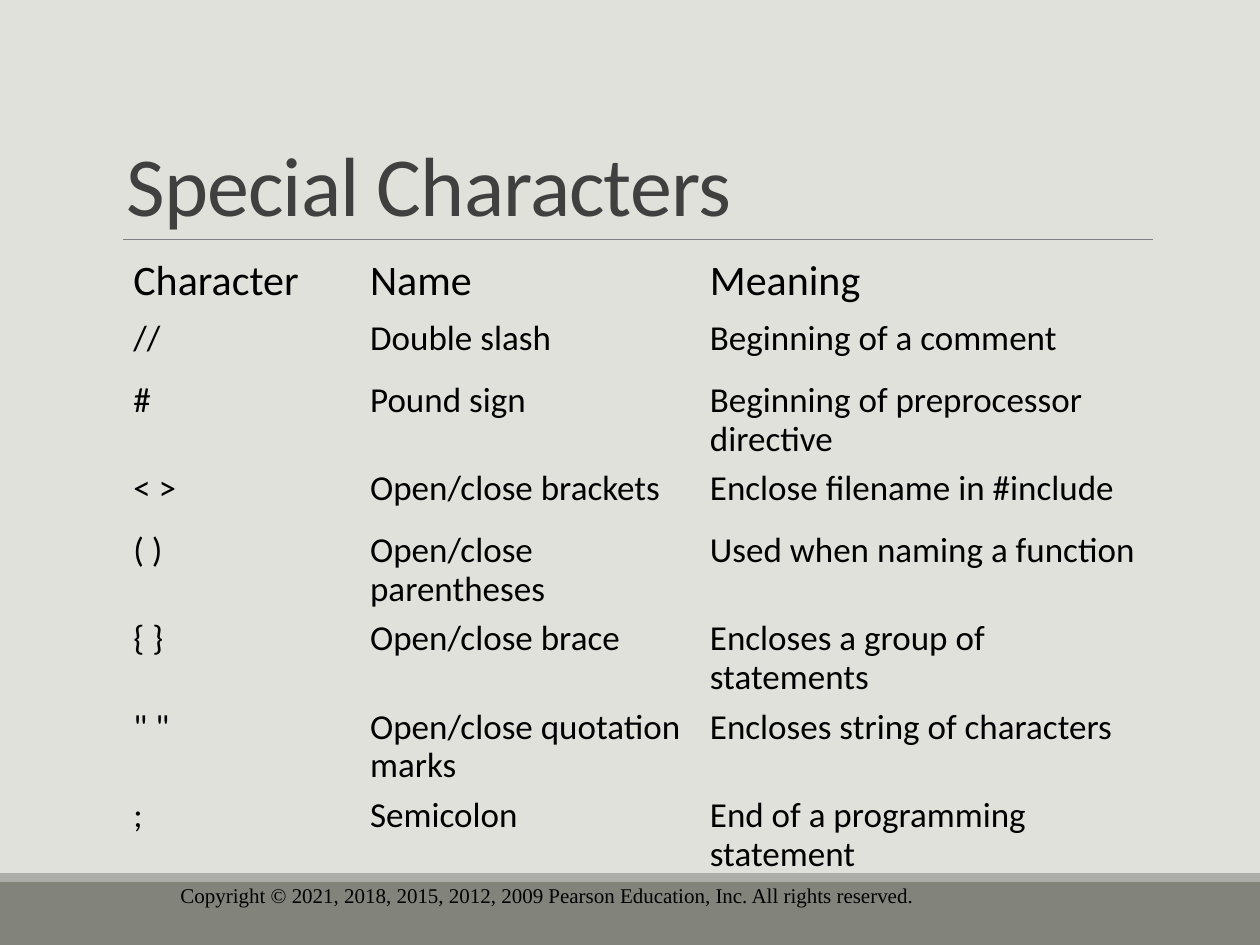
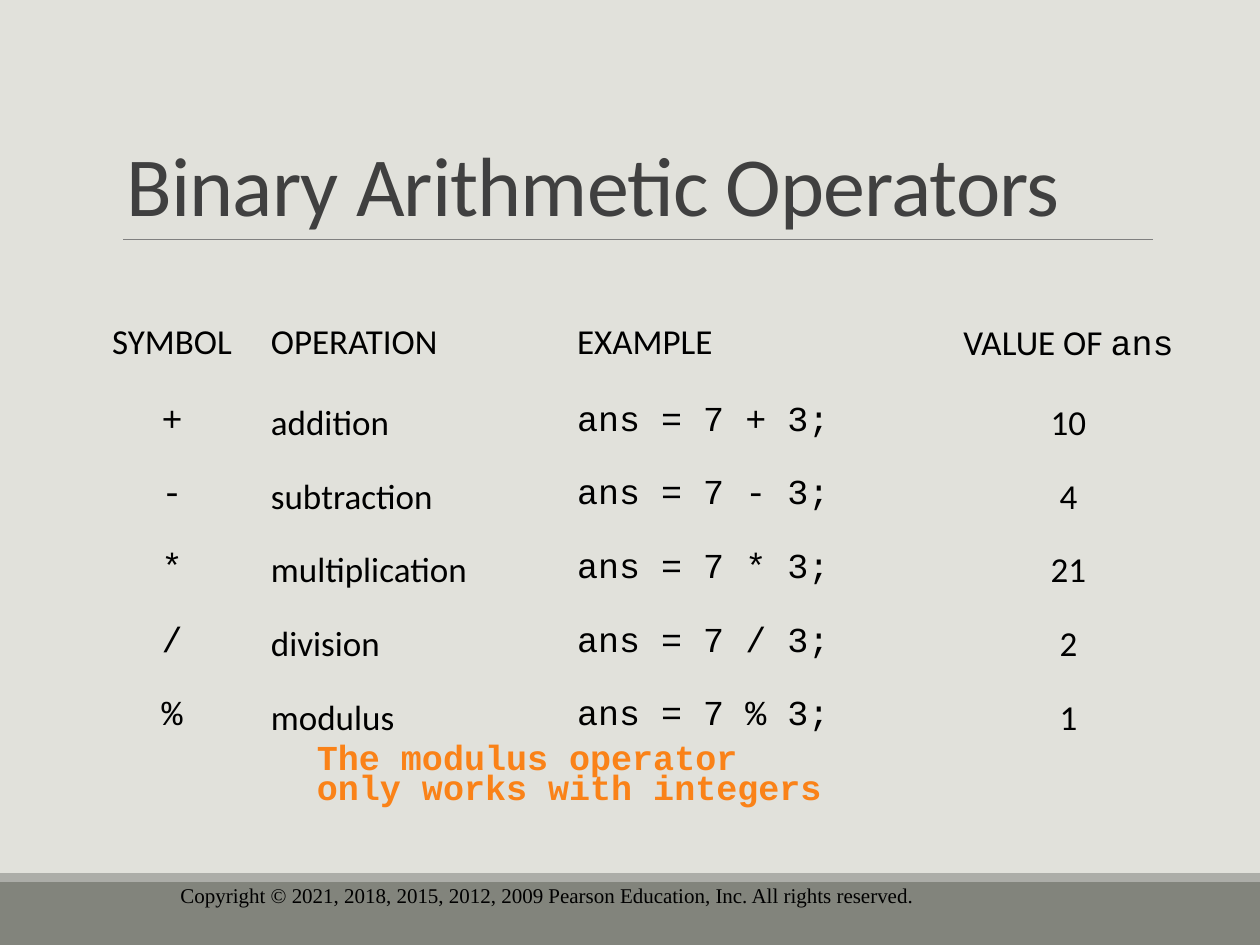
from lxml.etree import SubElement
from pptx import Presentation
from pptx.dml.color import RGBColor
from pptx.enum.shapes import MSO_CONNECTOR, MSO_SHAPE
from pptx.enum.text import MSO_ANCHOR, MSO_AUTO_SIZE, PP_ALIGN
from pptx.oxml.ns import qn
from pptx.util import Pt

SANS, MONO, SERIF = "Calibri", "Courier New", "Times New Roman"
LEFT, CENTER = PP_ALIGN.LEFT, PP_ALIGN.CENTER
PLAIN_TABLE = "{2D5ABB26-0587-4C30-8999-92F81FD0307C}"
COPYRIGHT = ("Copyright © 2021, 2018, 2015, 2012, 2009 Pearson Education, Inc. "
             "All rights reserved.")

CHARACTERS = [
    ("Character", "Name", "Meaning"),
    ("//", "Double slash", "Beginning of a comment"),
    ("#", "Pound sign", "Beginning of preprocessor directive"),
    ("< >", "Open/close brackets", "Enclose filename in #include"),
    ("( )", "Open/close parentheses", "Used when naming a function"),
    ("{ }", "Open/close brace", "Encloses a group of statements"),
    ('" "', "Open/close quotation marks", "Encloses string of characters"),
    (";", "Semicolon", "End of a programming statement"),
]
OPERATORS = [
    ("+", "addition", "10"),
    ("-", "subtraction", "4"),
    ("*", "multiplication", "21"),
    ("/", "division", "2"),
    ("%", "modulus", "1"),
]


def rgb(value):
    return RGBColor.from_string(value)


class Deck:
    BACKGROUND = "E1E1DB"
    BAND = "82847C"
    STRIP = "ACADA8"
    RULE = "808080"
    TITLE = "404040"
    TEXT = "000000"
    ACCENT = "FA8218"

    def __init__(self):
        self.prs = Presentation()
        self.prs.slide_width, self.prs.slide_height = Pt(720), Pt(540)
        fill = self.prs.slide_master.background.fill
        fill.solid()
        fill.fore_color.rgb = rgb(self.BACKGROUND)
        self.s = None

    def slide(self, title):
        self.s = self.prs.slides.add_slide(self.prs.slide_layouts[5])
        self.band(504, 36, self.BAND)
        self.band(499, 5, self.STRIP)
        self.rule(70.5, 137, 659)
        self.text(96, 500.5, 438, 21.5, COPYRIGHT, SERIF, 12)
        self.title(title)

    def band(self, top, height, color):
        sp = self.s.shapes.add_shape(MSO_SHAPE.RECTANGLE, 0, Pt(top),
                                     self.prs.slide_width, Pt(height))
        sp.shadow.inherit = False
        sp.fill.solid()
        sp.fill.fore_color.rgb = rgb(color)
        sp.line.fill.background()

    def rule(self, left, top, right):
        line = self.s.shapes.add_connector(MSO_CONNECTOR.STRAIGHT, Pt(left),
                                           Pt(top), Pt(right), Pt(top))
        line.line.color.rgb = rgb(self.RULE)
        line.line.width = Pt(0.5)
        SubElement(line.element.spPr, qn("a:effectLst"))

    def title(self, title):
        sp = self.s.shapes.title
        sp.left, sp.top, sp.width, sp.height = Pt(65), Pt(22.5), Pt(594), Pt(114.5)
        tf = sp.text_frame
        tf.auto_size = MSO_AUTO_SIZE.NONE
        tf.vertical_anchor = MSO_ANCHOR.BOTTOM
        self.fill_text(tf, title, SANS, 48, self.TITLE, spacing=0.85)
        next(sp.element.iter(qn("a:rPr"))).set("spc", "-50")

    def text(self, left, top, width, height, text, font, size, color=TEXT,
             bold=False, spacing=None):
        sp = self.s.shapes.add_textbox(Pt(left), Pt(top), Pt(width), Pt(height))
        sp.text_frame.word_wrap = True
        self.fill_text(sp.text_frame, text, font, size, color, bold, spacing)

    def fill_text(self, tf, content, font, size, color=TEXT, bold=False,
                  spacing=None, align=LEFT):
        p = tf.paragraphs[0]
        p.alignment = align
        p.line_spacing = spacing
        runs = [(content, font)] if isinstance(content, str) else content
        for text, name in runs:
            r = p.add_run()
            r.text = text
            r.font.name = name
            r.font.size = Pt(size)
            r.font.bold = bold
            r.font.color.rgb = rgb(color)

    def table(self, left, top, widths, heights, rows, head_size, head_spacing,
              body_spacing, fonts, aligns):
        frame = self.s.shapes.add_table(len(rows), len(widths), Pt(left), Pt(top),
                                        Pt(sum(widths)), Pt(sum(heights)))
        table = frame.table
        table.first_row = table.horz_banding = False
        next(frame.element.iter(qn("a:tableStyleId"))).text = PLAIN_TABLE
        for column, width in zip(table.columns, widths):
            column.width = Pt(width)
        for i, (row, height) in enumerate(zip(rows, heights)):
            table.rows[i].height = Pt(height)
            head = i == 0
            for j, content in enumerate(row):
                cell = table.cell(i, j)
                cell.fill.background()
                self.fill_text(cell.text_frame, content,
                               SANS if head else fonts[j],
                               head_size if head else 20, align=aligns[j],
                               spacing=head_spacing if head else body_spacing)


def special_characters(deck):
    deck.slide("Special Characters")
    one_line, two_lines = 35.3, 45.4
    heights = [one_line, one_line, two_lines, one_line] + [two_lines] * 4
    deck.table(69, 144, [135.3, 194.2, 264.7], heights, CHARACTERS,
               24, 0.9, 0.9, [SANS] * 3, [LEFT] * 3)


def arithmetic_operators(deck):
    deck.slide("Binary Arithmetic Operators")
    rows = [("SYMBOL", "OPERATION", "EXAMPLE", [("VALUE OF ", SANS), ("ans", MONO)])]
    rows += [(symbol, name, f"ans = 7 {symbol} 3;", value)
             for symbol, name, value in OPERATORS]
    deck.table(49, 182.2, [98.6, 175, 215.3, 145.4], [43.9] + [42.1] * 5, rows,
               20, 0.85, None, [MONO, SANS, MONO, SANS],
               [CENTER, LEFT, LEFT, CENTER])
    deck.text(174, 423.5, 306, 43, "The modulus operator only works with integers",
              MONO, 20, deck.ACCENT, True, 0.7)


def main():
    deck = Deck()
    special_characters(deck)
    arithmetic_operators(deck)
    deck.prs.save("out.pptx")


if __name__ == "__main__":
    main()
